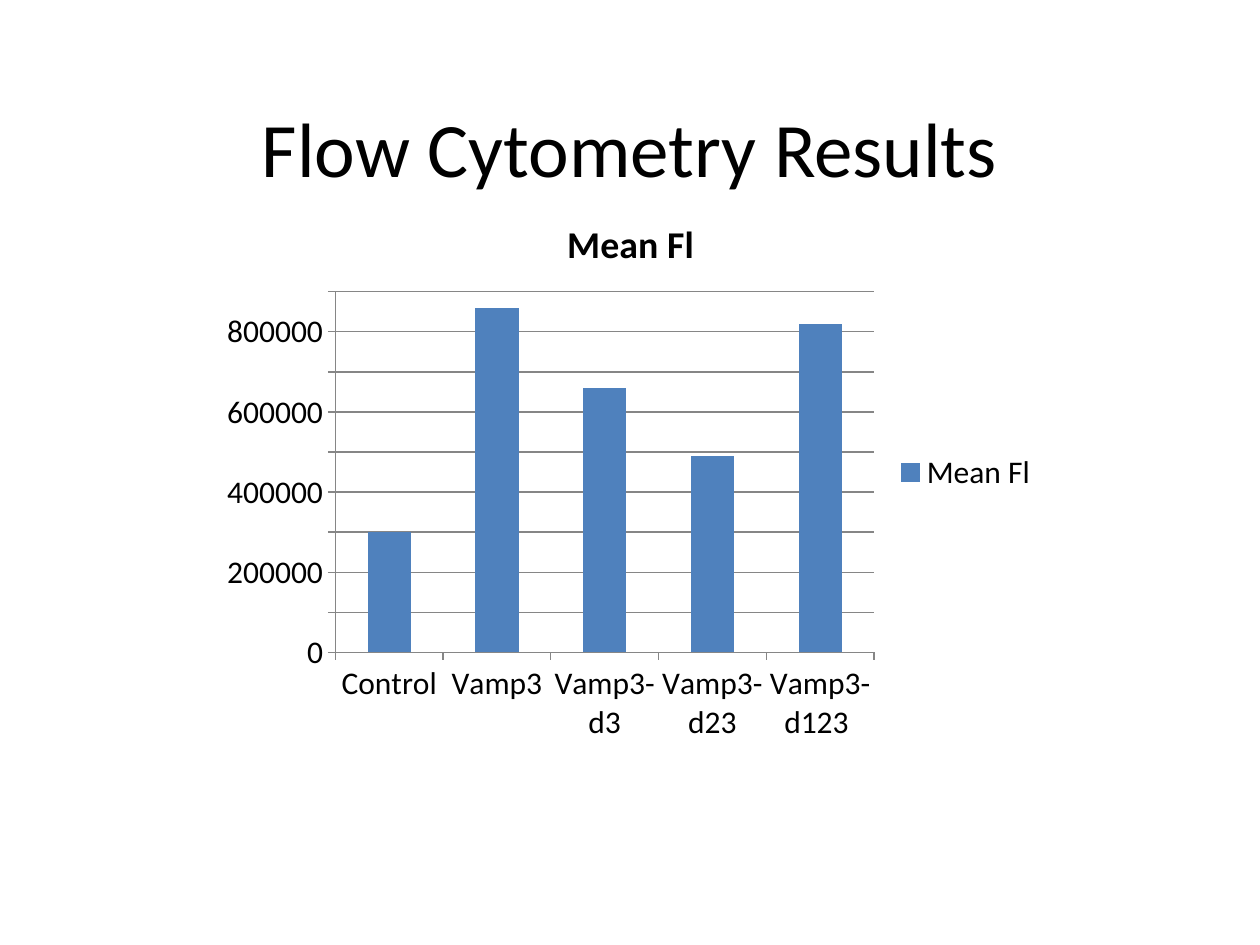
from typing import NamedTuple

from pptx import Presentation
from pptx.chart.data import CategoryChartData
from pptx.dml.color import RGBColor
from pptx.enum.chart import XL_CHART_TYPE, XL_LEGEND_POSITION, XL_TICK_MARK
from pptx.enum.text import MSO_ANCHOR, PP_ALIGN
from pptx.util import Inches, Pt

BLACK = RGBColor(0x00, 0x00, 0x00)
BLUE = RGBColor(0x4F, 0x81, 0xBD)
GRAY = RGBColor(0x86, 0x86, 0x86)
FONT = "Calibri"
MEASURE = "Mean Fl"


class Sample(NamedTuple):
    name: str
    fluorescence: int


SAMPLES = [
    Sample("Control", 300000),
    Sample("Vamp3", 860000),
    Sample("Vamp3-d3", 660000),
    Sample("Vamp3-d23", 490000),
    Sample("Vamp3-d123 ", 820000),
]


def style_font(font, size: float, bold: bool = False) -> None:
    font.name = FONT
    font.size = Pt(size)
    font.bold = bold
    font.color.rgb = BLACK


def style_line(line) -> None:
    line.color.rgb = GRAY
    line.width = Pt(0.75)


def add_heading(slide, text: str) -> None:
    heading = slide.shapes.add_textbox(Inches(0.5), Inches(0.58), Inches(9), Inches(1.17))
    frame = heading.text_frame
    frame.word_wrap = True
    frame.vertical_anchor = MSO_ANCHOR.MIDDLE
    frame.text = text
    paragraph = frame.paragraphs[0]
    paragraph.alignment = PP_ALIGN.CENTER
    style_font(paragraph.runs[0].font, 44)


def add_fluorescence_chart(slide, samples: list[Sample]) -> None:
    data = CategoryChartData()
    data.categories = [sample.name for sample in samples]
    data.add_series(MEASURE, [sample.fluorescence for sample in samples])
    chart = slide.shapes.add_chart(
        XL_CHART_TYPE.COLUMN_CLUSTERED,
        Inches(1.67), Inches(1.53), Inches(6.67), Inches(4.44), data,
    ).chart
    style_font(chart.font, 18)

    chart.has_title = True
    chart.chart_title.include_in_layout = False
    caption = chart.chart_title.text_frame
    caption.text = MEASURE
    style_font(caption.paragraphs[0].runs[0].font, 21.6, bold=True)

    chart.has_legend = True
    chart.legend.position = XL_LEGEND_POSITION.RIGHT
    chart.legend.include_in_layout = False

    for axis in (chart.category_axis, chart.value_axis):
        axis.major_tick_mark = XL_TICK_MARK.OUTSIDE
        axis.minor_tick_mark = XL_TICK_MARK.NONE
        style_line(axis.format.line)
    scale = chart.value_axis
    scale.minimum_scale = 0
    scale.maximum_scale = 900000
    scale.major_unit = 100000
    scale.has_major_gridlines = True
    style_line(scale.major_gridlines.format.line)

    plot = chart.plots[0]
    plot.gap_width = 150
    plot.vary_by_categories = False
    columns = plot.series[0].format.fill
    columns.solid()
    columns.fore_color.rgb = BLUE


def main() -> None:
    deck = Presentation()
    deck.slide_width = Inches(10)
    deck.slide_height = Inches(7.5)
    slide = deck.slides.add_slide(deck.slide_layouts[6])
    add_heading(slide, "Flow Cytometry Results")
    add_fluorescence_chart(slide, SAMPLES)
    deck.save("out.pptx")


if __name__ == "__main__":
    main()
